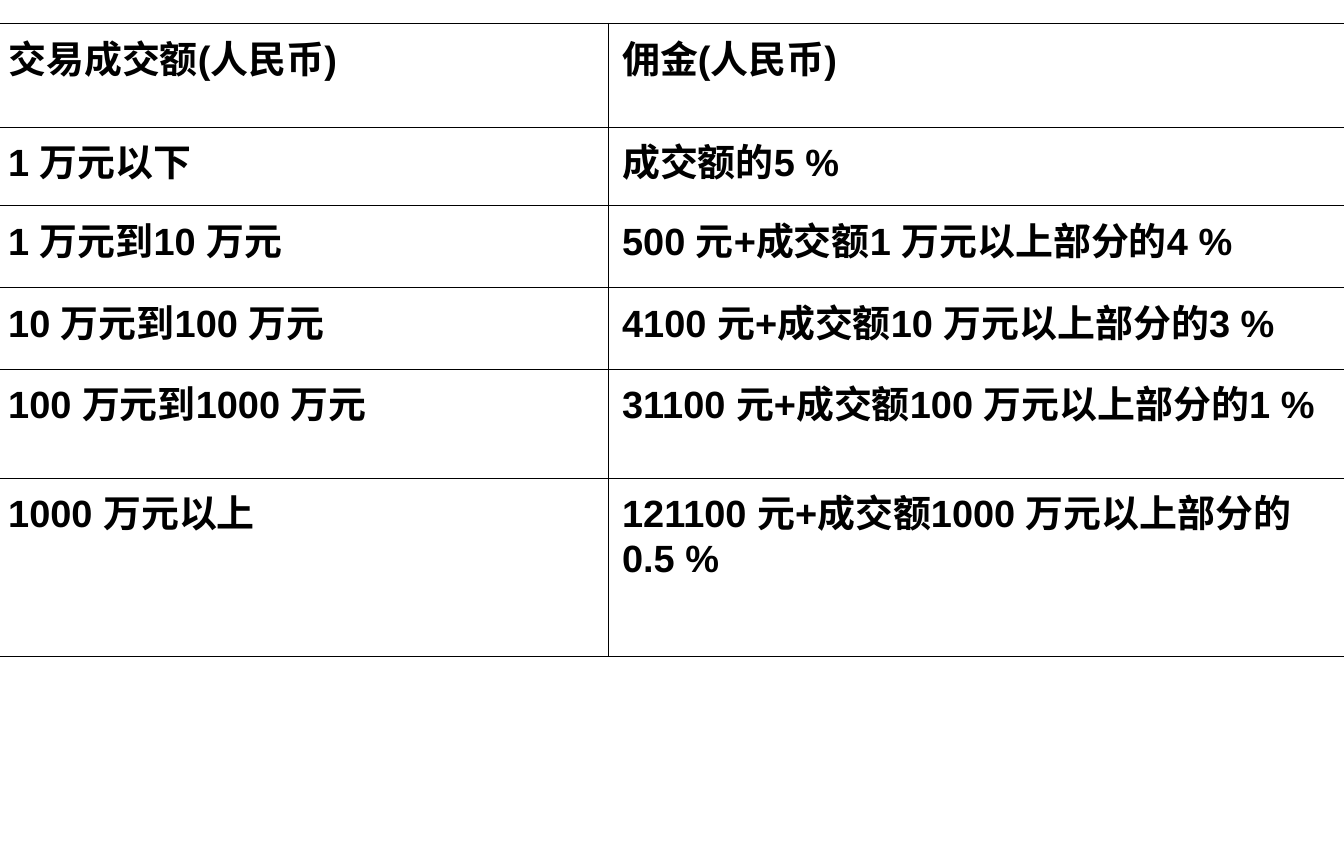
from lxml import etree
from pptx import Presentation
from pptx.dml.color import RGBColor
from pptx.oxml import ns
from pptx.util import Pt

COLORS = {"ink": "000000"}
THIN, THICK = Pt(0.45), Pt(1.08)

prs = Presentation()
prs.slide_width = Pt(850.5)
prs.slide_height = Pt(540)
s = prs.slides.add_slide(prs.slide_layouts[6])


def write(tf, content, size=24, font="Arial", bold=True, color="ink"):
    p = tf.paragraphs[0]
    r = p.add_run()
    r.text = content
    r.font.size, r.font.name, r.font.bold = Pt(size), font, bold
    r.font.color.rgb = RGBColor.from_string(COLORS[color])


def add_border(cell, side, width):
    ln = etree.SubElement(cell._tc.get_or_add_tcPr(), ns.qn(f"a:ln{side}"), w=str(int(width)))
    fill = etree.SubElement(ln, ns.qn("a:solidFill"))
    etree.SubElement(fill, ns.qn("a:srgbClr"), val=COLORS["ink"])


# Commission table: turnover band, commission
commissions = [
    ("交易成交额(人民币)", "佣金(人民币)"),
    ("1 万元以下", "成交额的5 %"),
    ("1 万元到10 万元", "500 元+成交额1 万元以上部分的4 %"),
    ("10 万元到100 万元", "4100 元+成交额10 万元以上部分的3 %"),
    ("100 万元到1000 万元", "31100 元+成交额100 万元以上部分的1 %"),
    ("1000 万元以上", "121100 元+成交额1000 万元以上部分的0.5 %"),
]
col_widths = [388.5, 468.8]
row_heights = [65.5, 49.7, 51.8, 51.8, 64.8, 113]

table = s.shapes.add_table(len(row_heights), len(col_widths), Pt(-3.4), Pt(15),
                           Pt(sum(col_widths)), Pt(sum(row_heights))).table
table.first_row = table.horz_banding = False
for col, width in zip(table.columns, col_widths):
    col.width = Pt(width)
for row, height in zip(table.rows, row_heights):
    row.height = Pt(height)

# Cells: thick outer frame, thin inner rules, no fill
last_row, last_col = len(row_heights) - 1, len(col_widths) - 1
for i, row in enumerate(commissions):
    for j, content in enumerate(row):
        cell = table.cell(i, j)
        cell.margin_left = cell.margin_right = Pt(8.64)
        cell.margin_top = cell.margin_bottom = Pt(3.6)
        outer = {"L": j == 0, "R": j == last_col, "T": i == 0, "B": i == last_row}
        for side, is_outer in outer.items():
            add_border(cell, side, THICK if is_outer else THIN)
        cell.fill.background()
        write(cell.text_frame, content)

prs.save("out.pptx")
